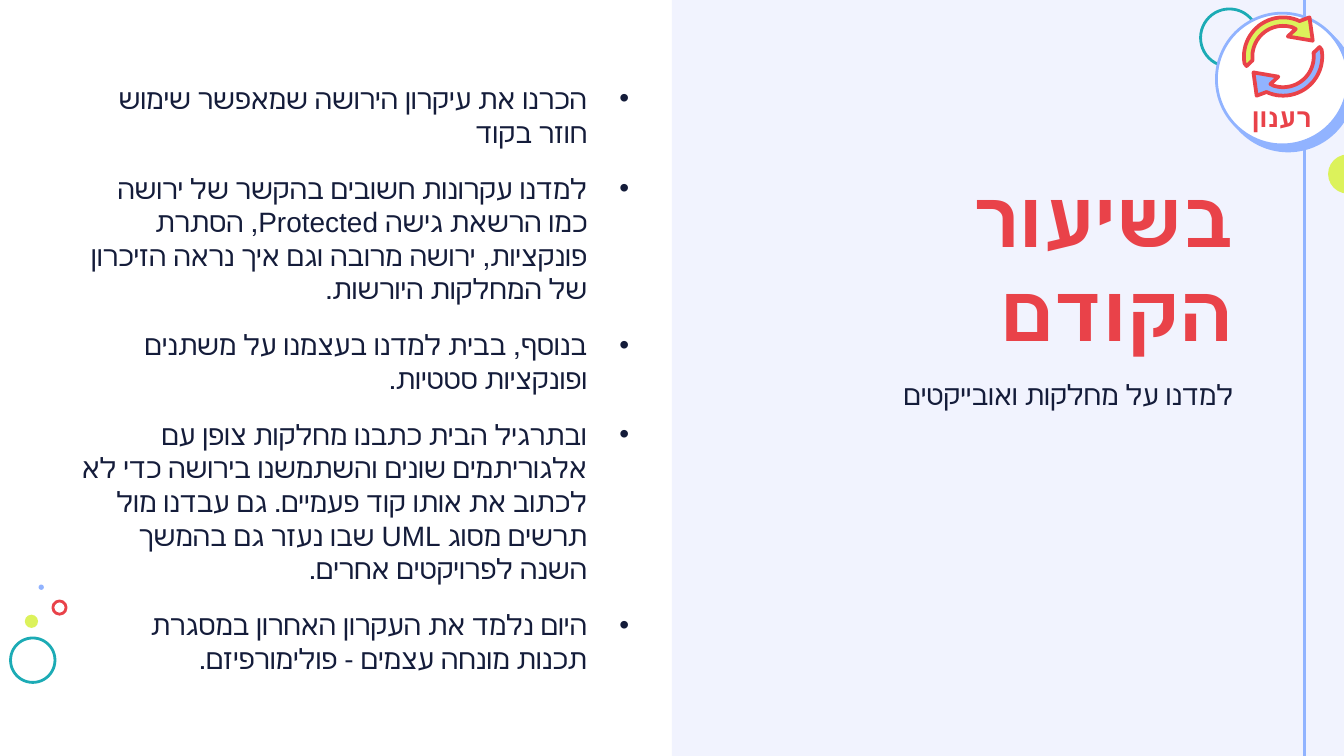
from dataclasses import dataclass
from math import cos, radians, sin

from lxml import etree
from pptx import Presentation
from pptx.dml.color import RGBColor
from pptx.enum.lang import MSO_LANGUAGE_ID
from pptx.enum.shapes import MSO_CONNECTOR, MSO_SHAPE
from pptx.enum.text import MSO_ANCHOR, PP_ALIGN
from pptx.oxml.ns import qn
from pptx.util import Cm, Pt

OVAL, RECT = MSO_SHAPE.OVAL, MSO_SHAPE.RECTANGLE
STRAIGHT = MSO_CONNECTOR.STRAIGHT
TOP, MIDDLE, BOTTOM = MSO_ANCHOR.TOP, MSO_ANCHOR.MIDDLE, MSO_ANCHOR.BOTTOM
RIGHT, CENTER = PP_ALIGN.RIGHT, PP_ALIGN.CENTER
HEBREW = MSO_LANGUAGE_ID.HEBREW


@dataclass(frozen=True)
class Theme:
    """Colours, font and type sizes of the slide."""
    white: str = "FFFFFF"
    panel: str = "F1F3FE"
    blue: str = "91B3FF"
    teal: str = "1CABB5"
    lime: str = "DCF25B"
    red: str = "E94249"
    ink: str = "141C3A"
    font: str = "Arial"
    title: float = 42
    body: float = 15
    label: float = 14
    stroke: float = 1.5
    arrow_stroke: float = 2


T = Theme()
WIDTH, HEIGHT = 25.4, 14.29
BULLETS = [
    "הכרנו את עיקרון הירושה שמאפשר שימוש חוזר בקוד",
    "למדנו עקרונות חשובים בהקשר של ירושה כמו הרשאת גישה Protected, "
    "הסתרת פונקציות, ירושה מרובה וגם איך נראה הזיכרון של המחלקות היורשות.",
    "בנוסף, בבית למדנו בעצמנו על משתנים ופונקציות סטטיות.",
    "ובתרגיל הבית כתבנו מחלקות צופן עם אלגוריתמים שונים והשתמשנו בירושה "
    "כדי לא לכתוב את אותו קוד פעמיים. גם עבדנו מול תרשים מסוג UML שבו "
    "נעזר גם בהמשך השנה לפרויקטים אחרים.",
    "היום נלמד את העקרון האחרון במסגרת תכנות מונחה עצמים - פולימורפיזם.",
]


def rgb(color):
    """Turn a hex string into a colour."""
    return RGBColor.from_string(color)


def paint(sp, fill=None, line=None, width=T.stroke):
    """Set fill and line of a shape and drop its shadow."""
    sp.shadow.inherit = False
    if fill:
        sp.fill.solid()
        sp.fill.fore_color.rgb = rgb(fill)
    else:
        sp.fill.background()
    if line:
        sp.line.color.rgb = rgb(line)
        sp.line.width = Pt(width)
    else:
        sp.line.fill.background()
    return sp


def circle(s, x, y, size, fill=None, line=None):
    """Draw a circle from its top left corner and diameter."""
    sp = s.shapes.add_shape(OVAL, Cm(x), Cm(y), Cm(size), Cm(size))
    return paint(sp, fill, line)


def add_bullet(p):
    """Give a right-to-left paragraph a hanging bullet."""
    pPr = p._p.get_or_add_pPr()
    pPr.set("marL", str(Cm(0.79)))
    pPr.set("marR", "0")
    pPr.set("indent", str(-Cm(0.79)))
    color = etree.SubElement(pPr, qn("a:buClr"))
    etree.SubElement(color, qn("a:srgbClr"), val=T.ink)
    etree.SubElement(pPr, qn("a:buFont"), typeface=T.font)
    etree.SubElement(pPr, qn("a:buChar"), char="•")


def add_text(s, box, lines, size, color, bold=False, align=RIGHT,
             anchor=TOP, bullets=False, spacing=None):
    """Place right-to-left paragraphs in a box without margins."""
    tf = s.shapes.add_textbox(*map(Cm, box)).text_frame
    tf.word_wrap = True
    tf.vertical_anchor = anchor
    tf.margin_left = tf.margin_right = tf.margin_top = tf.margin_bottom = 0
    for i, line in enumerate(lines):
        p = tf.paragraphs[0] if i == 0 else tf.add_paragraph()
        p._p.get_or_add_pPr().set("rtl", "1")
        if bullets:
            add_bullet(p)
            p.space_after = Pt(12)
        p.alignment = align
        p.line_spacing = spacing
        r = p.add_run()
        r.text = line
        r.font.name, r.font.size, r.font.bold = T.font, Pt(size), bold
        r.font.color.rgb = rgb(color)
        r.font.language_id = HEBREW


def refresh_arrow(s, cx, cy, fill, turn):
    """Draw a curved arrow around a centre, turned by 1 or -1."""
    def arc(radius, start, stop, steps=24):
        angles = [radians(start + (stop - start) * i / steps)
                  for i in range(steps + 1)]
        return [(radius * sin(a), -radius * cos(a)) for a in angles]

    head = [(0.5, -0.74), (0.56, -0.3), (0.09, -0.38), (0.24, -0.52)]
    outline = ([(-0.69, 0.18)] + arc(0.74, -100, 25) + head
               + arc(0.58, 18, -97))
    points = [(Cm(cx + turn * x), Cm(cy + turn * y)) for x, y in outline]
    fb = s.shapes.build_freeform(*points[0])
    fb.add_line_segments(points[1:], close=True)
    paint(fb.convert_to_shape(), fill, T.red, T.arrow_stroke)


def add_panel(s, box):
    """Draw the tinted half of the slide."""
    paint(s.shapes.add_shape(RECT, *map(Cm, box)), T.panel)


def add_corner(s, box):
    """Draw the vertical line with the refresh badge and its circles."""
    x, y, _, h = box
    circle(s, x + 0.01, y + 0.17, 1.09, line=T.teal)
    line_x = Cm(x + 1.98)
    rule = s.shapes.add_connector(STRAIGHT, line_x, Cm(y), line_x, Cm(y + h))
    rule.line.color.rgb = rgb(T.blue)
    rule.line.width = Pt(T.stroke)
    etree.SubElement(rule._element.spPr, qn("a:effectLst"))
    badge = circle(s, x + 0.31, y + 0.25, 2.49, T.white, T.blue)
    effects = badge._element.spPr.find(qn("a:effectLst"))
    shadow = etree.SubElement(effects, qn("a:outerShdw"), dist=str(Pt(4.5)),
                              dir=str(46 * 60000), algn="bl",
                              rotWithShape="0")
    etree.SubElement(shadow, qn("a:srgbClr"), val=T.blue)
    circle(s, x + 2.42, y + 2.92, 0.74, T.lime)
    add_text(s, (x + 0.54, y + 1.66, 2.01, 0.84), ["רענון"], T.label, T.red,
             bold=True, align=CENTER, anchor=BOTTOM, spacing=0.8)
    for fill, turn in ((T.lime, 1), (T.blue, -1)):
        refresh_arrow(s, x + 1.57, y + 1.07, fill, turn)


def add_bubbles(s, box):
    """Draw the small circles at the lower left."""
    x, y, _, _ = box
    circle(s, x, y + 1.01, 0.84, line=T.teal)
    circle(s, x + 0.27, y + 0.57, 0.25, T.lime)
    circle(s, x + 0.8, y + 0.31, 0.25, line=T.red)
    circle(s, x + 0.53, y, 0.1, T.blue)


def add_heading(s, box):
    """Place the title with the subtitle below it."""
    x, y, w, _ = box
    add_text(s, (x, y, w, 3.99), ["בשיעור הקודם"], T.title, T.red,
             bold=True, anchor=BOTTOM)
    add_text(s, (x, y + 4.37, w, 5.79), ["למדנו על מחלקות ואובייקטים"],
             T.body, T.ink)


def add_summary(s, box):
    """Place the bulleted summary."""
    add_text(s, box, BULLETS, T.body, T.ink, anchor=MIDDLE, bullets=True)


def main():
    """Build the slide and save it."""
    prs = Presentation()
    prs.slide_width, prs.slide_height = Cm(WIDTH), Cm(HEIGHT)
    s = prs.slides.add_slide(prs.slide_layouts[6])
    s.background.fill.solid()
    s.background.fill.fore_color.rgb = rgb(T.white)
    add_panel(s, (WIDTH / 2, 0, WIDTH / 2, HEIGHT))
    add_corner(s, (22.68, 0, 2.72, HEIGHT))
    add_bubbles(s, (0.2, 11.05, 1.05, 1.85))
    add_heading(s, (13.94, 2.77, 9.37, 10.16))
    add_summary(s, (1.5, 1.51, 10.39, 11.28))
    prs.save("out.pptx")


if __name__ == "__main__":
    main()
